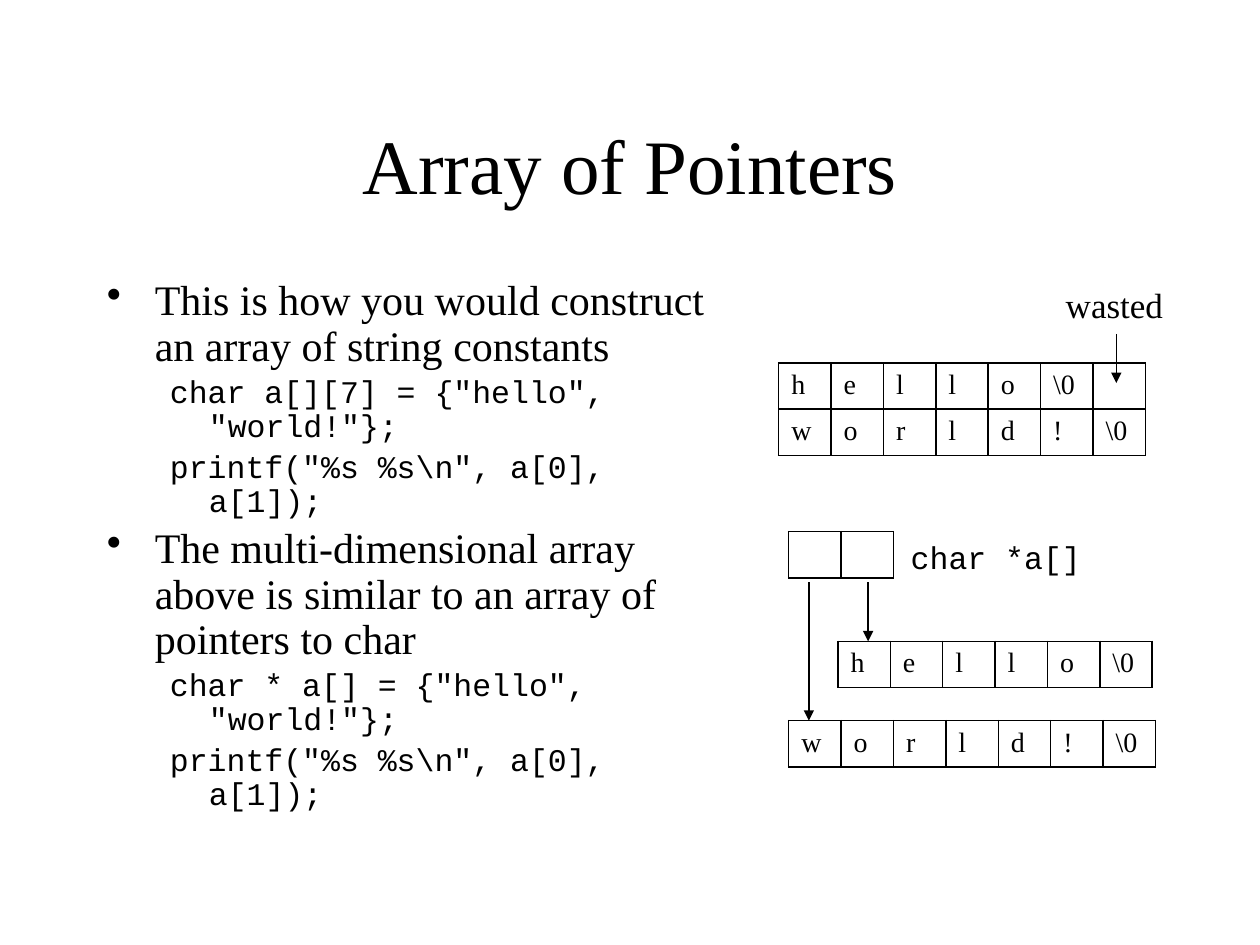
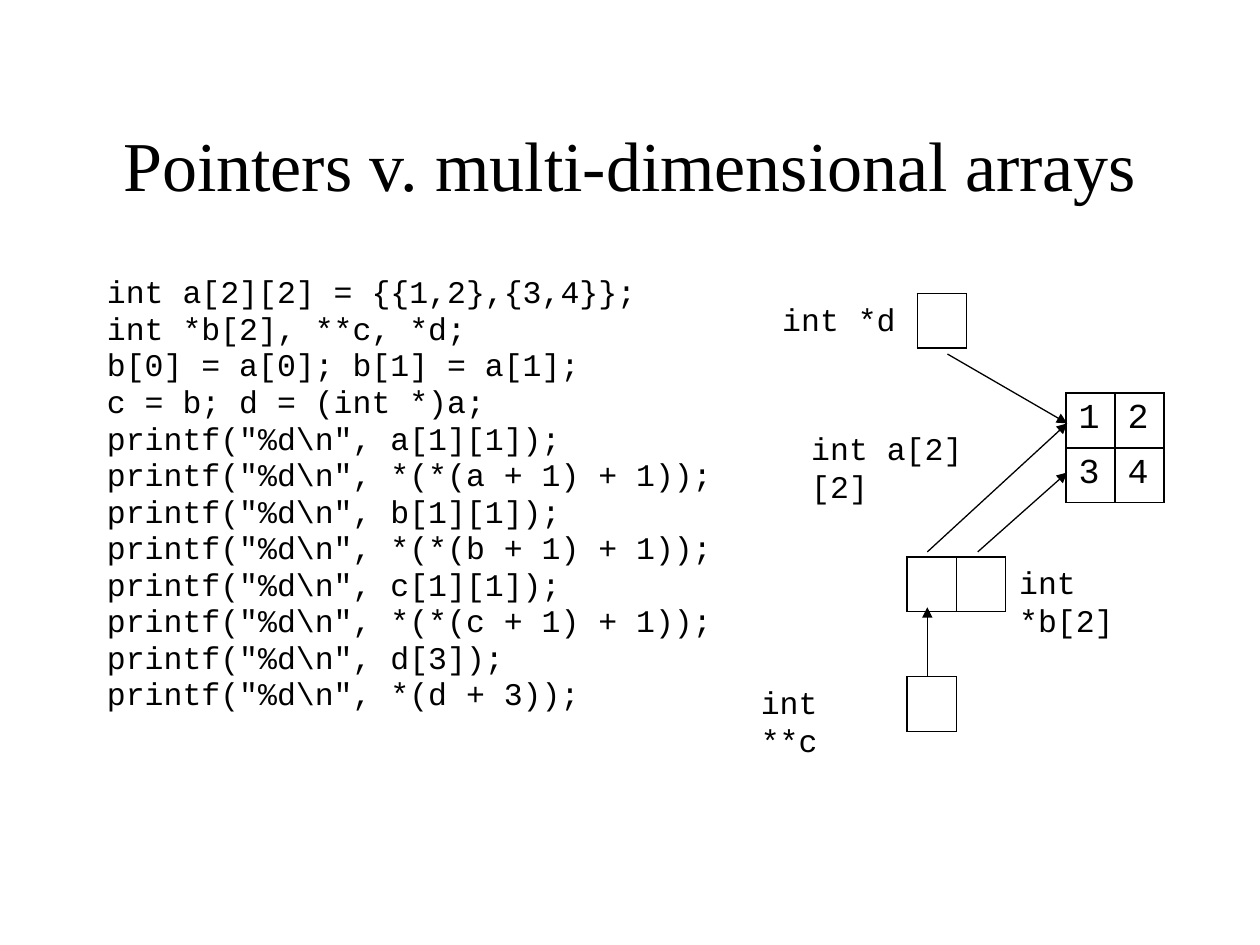
"""Build two slides on arrays of pointers and multi-dimensional arrays in C."""
from dataclasses import dataclass

from lxml import etree
from pptx import Presentation
from pptx.dml.color import RGBColor
from pptx.enum.shapes import MSO_CONNECTOR
from pptx.enum.text import MSO_ANCHOR, PP_ALIGN
from pptx.oxml.ns import qn
from pptx.util import Inches, Pt

STRAIGHT = MSO_CONNECTOR.STRAIGHT
LEFT, CENTER = PP_ALIGN.LEFT, PP_ALIGN.CENTER
TOP, MIDDLE = MSO_ANCHOR.TOP, MSO_ANCHOR.MIDDLE


@dataclass(frozen=True)
class Theme:
    ink: RGBColor = RGBColor(0, 0, 0)
    paper: RGBColor = RGBColor(255, 255, 255)
    serif: str = "Times New Roman"
    mono: str = "Courier New"
    bullet_size: int = 24
    code_size: int = 18
    letter_size: int = 16
    number_size: int = 20
    note_size: int = 20
    arrow_width: float = 0.75
    border_width: float = 1
    space_before: float = 0.2


THEME = Theme()
TITLE_BOX = (0.75, 0.67, 8.5, 1.25)
BODY_BOX = (0.75, 2.17, 5.12, 4.5)

STYLES = {
    "bullet": (THEME.serif, THEME.bullet_size, 0.38, -0.38, "•"),
    "code": (THEME.mono, THEME.code_size, 0.81, -0.31, None),
    "listing": (THEME.mono, THEME.code_size, 0.38, -0.38, None),
}
LETTERS = (THEME.serif, THEME.letter_size, 0.416, 0.36)
NUMBERS = (THEME.mono, THEME.number_size, 0.39, 0.42)
BOXES = (THEME.mono, THEME.number_size, 0.39, 0.43)
NOTE = (THEME.serif, THEME.note_size, CENTER, False)
CODE_LABEL = (THEME.mono, THEME.code_size, LEFT, True)

HELLO = ["h", "e", "l", "l", "o", "\\0"]
WORLD = ["w", "o", "r", "l", "d", "!", "\\0"]

SLIDES = [
    {
        "title": ("Array of Pointers", 44),
        "line_spacing": 0.9,
        "body": [
            ("bullet", "This is how you would construct an array of string constants"),
            ("code", 'char a[][7] = {"hello", "world!"};'),
            ("code", 'printf("%s %s\\n", a[0], a[1]);'),
            ("bullet", "The multi-dimensional array above is similar to an array of pointers to char"),
            ("code", 'char * a[] = {"hello", "world!"};'),
            ("code", 'printf("%s %s\\n", a[0], a[1]);'),
        ],
        "tables": [
            (6.18, 2.88, LETTERS, [HELLO + [""], WORLD]),
            (6.26, 4.22, LETTERS, [["", ""]]),
            (6.65, 5.09, LETTERS, [HELLO]),
            (6.26, 5.72, LETTERS, [WORLD]),
        ],
        "labels": [
            ("wasted", (8.36, 2.2, 0.97, 0.43), NOTE),
            ("char *a[]", (7.13, 4.22, 1.73, 0.4), CODE_LABEL),
        ],
        "arrows": [
            (8.86, 2.65, 8.86, 3.04),
            (6.42, 4.62, 6.42, 5.72),
            (6.89, 4.62, 6.89, 5.09),
        ],
    },
    {
        "title": ("Pointers v. multi-dimensional arrays", 40),
        "line_spacing": 0.8,
        "body": [("listing", line) for line in (
            "int a[2][2] = {{1,2},{3,4}};",
            "int *b[2], **c, *d;",
            "b[0] = a[0]; b[1] = a[1];",
            "c = b; d = (int *)a;",
            'printf("%d\\n", a[1][1]);',
            'printf("%d\\n", *(*(a + 1) + 1));',
            'printf("%d\\n", b[1][1]);',
            'printf("%d\\n", *(*(b + 1) + 1));',
            'printf("%d\\n", c[1][1]);',
            'printf("%d\\n", *(*(c + 1) + 1));',
            'printf("%d\\n", d[3]);',
            'printf("%d\\n", *(d + 3));',
        )],
        "tables": [
            (7.28, 2.33, BOXES, [[""]]),
            (8.46, 3.12, NUMBERS, [["1", "2"], ["3", "4"]]),
            (7.2, 4.42, BOXES, [["", ""]]),
            (7.2, 5.37, BOXES, [[""]]),
        ],
        "labels": [
            ("int *d", (6.11, 2.33, 1.15, 0.4), CODE_LABEL),
            ("int a[2][2]", (6.34, 3.36, 1.8, 0.4), CODE_LABEL),
            ("int *b[2]", (7.99, 4.42, 1.5, 0.4), CODE_LABEL),
            ("int **c", (5.94, 5.37, 1.2, 0.4), CODE_LABEL),
        ],
        "arrows": [
            (7.52, 2.81, 8.47, 3.36),
            (7.36, 4.38, 8.47, 3.36),
            (7.76, 4.38, 8.47, 3.75),
            (7.36, 5.37, 7.36, 4.82),
        ],
    },
]


def add_run(paragraph, text, font_name, size):
    run = paragraph.add_run()
    run.text = text
    run.font.name = font_name
    run.font.size = Pt(size)
    run.font.color.rgb = THEME.ink


def add_text_frame(slide, box, anchor=TOP, wrap=True):
    text_frame = slide.shapes.add_textbox(*map(Inches, box)).text_frame
    text_frame.word_wrap = wrap
    text_frame.vertical_anchor = anchor
    return text_frame


def add_label(slide, text, box, style, anchor=TOP):
    font_name, size, alignment, wrap = style
    paragraph = add_text_frame(slide, box, anchor, wrap).paragraphs[0]
    paragraph.alignment = alignment
    add_run(paragraph, text, font_name, size)


def add_body(slide, lines, line_spacing):
    text_frame = add_text_frame(slide, BODY_BOX)
    for index, (style, text) in enumerate(lines):
        font_name, size, margin, indent, bullet = STYLES[style]
        paragraph = text_frame.add_paragraph() if index else text_frame.paragraphs[0]
        paragraph.line_spacing = line_spacing
        paragraph.space_before = Pt(size * THEME.space_before)
        properties = paragraph._p.get_or_add_pPr()
        properties.set("marL", str(Inches(margin)))
        properties.set("indent", str(Inches(indent)))
        if bullet:
            etree.SubElement(properties, qn("a:buChar"), char=bullet)
        add_run(paragraph, text, font_name, size)


def add_borders(cell):
    properties = cell._tc.get_or_add_tcPr()
    for position, side in enumerate(("a:lnL", "a:lnR", "a:lnT", "a:lnB")):
        line = etree.Element(qn(side), w=str(Pt(THEME.border_width)))
        fill = etree.SubElement(line, qn("a:solidFill"))
        etree.SubElement(fill, qn("a:srgbClr"), val=str(THEME.ink))
        properties.insert(position, line)


def add_cells(slide, left, top, style, rows):
    font_name, size, cell_width, cell_height = style
    row_count, column_count = len(rows), len(rows[0])
    table = slide.shapes.add_table(
        row_count, column_count, Inches(left), Inches(top),
        Inches(cell_width * column_count), Inches(cell_height * row_count)).table
    table.first_row = table.horz_banding = False
    for row, texts in enumerate(rows):
        for column, text in enumerate(texts):
            cell = table.cell(row, column)
            cell.fill.background()
            add_borders(cell)
            paragraph = cell.text_frame.paragraphs[0]
            if text:
                add_run(paragraph, text, font_name, size)
            else:
                etree.SubElement(paragraph._p, qn("a:endParaRPr"), sz=str(size * 100))


def add_arrow(slide, *ends):
    connector = slide.shapes.add_connector(STRAIGHT, *map(Inches, ends))
    connector.line.color.rgb = THEME.ink
    connector.line.width = Pt(THEME.arrow_width)
    etree.SubElement(connector.line._get_or_add_ln(), qn("a:tailEnd"), type="triangle")
    etree.SubElement(connector._element.spPr, qn("a:effectLst"))


def build_slide(presentation, content):
    slide = presentation.slides.add_slide(presentation.slide_layouts[6])
    slide.background.fill.solid()
    slide.background.fill.fore_color.rgb = THEME.paper
    title, title_size = content["title"]
    add_label(slide, title, TITLE_BOX, (THEME.serif, title_size, CENTER, True), MIDDLE)
    add_body(slide, content["body"], content["line_spacing"])
    for table in content["tables"]:
        add_cells(slide, *table)
    for label in content["labels"]:
        add_label(slide, *label)
    for arrow in content["arrows"]:
        add_arrow(slide, *arrow)


def main():
    presentation = Presentation()
    presentation.slide_width, presentation.slide_height = Inches(10), Inches(7.5)
    for content in SLIDES:
        build_slide(presentation, content)
    presentation.save("out.pptx")


if __name__ == "__main__":
    main()
